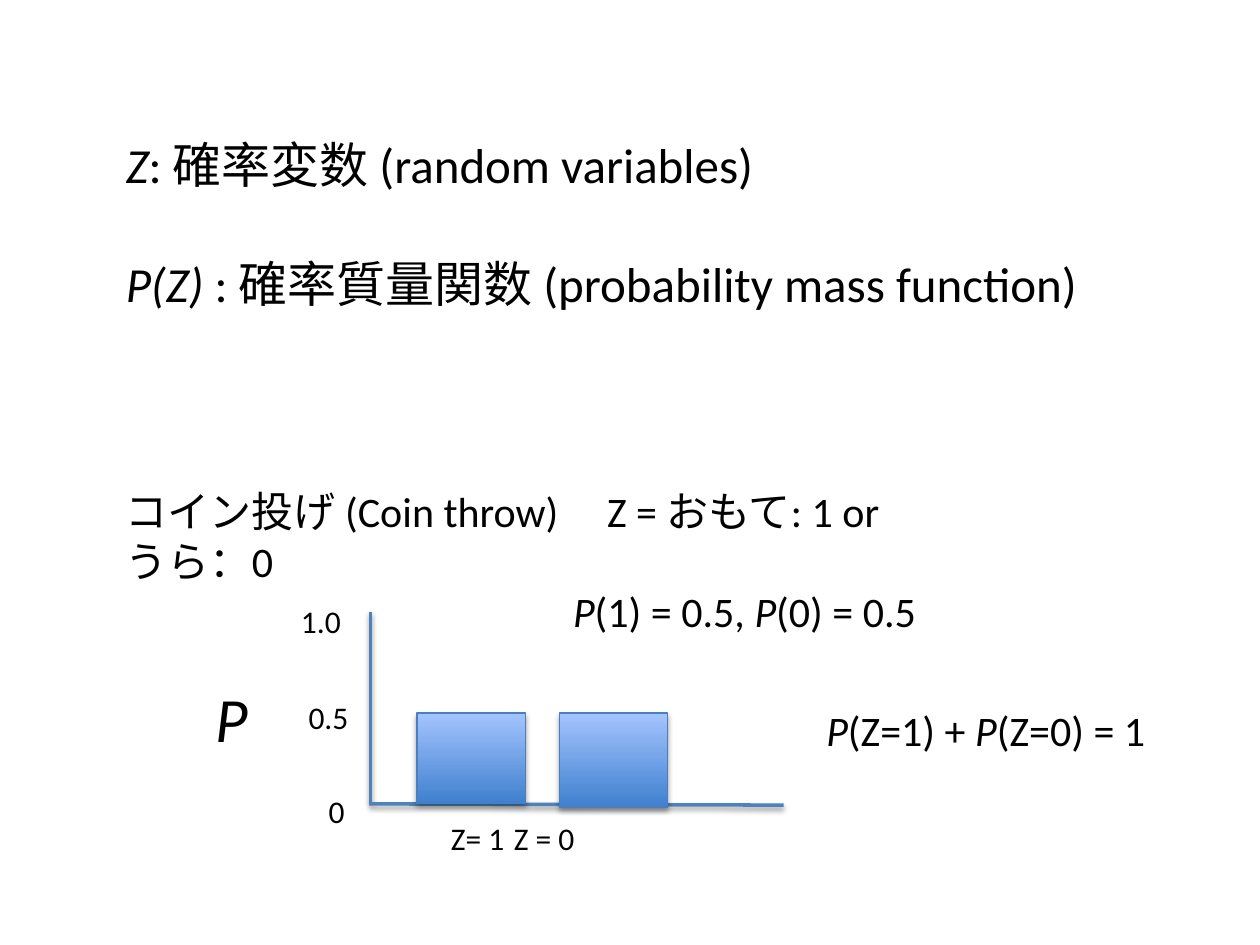
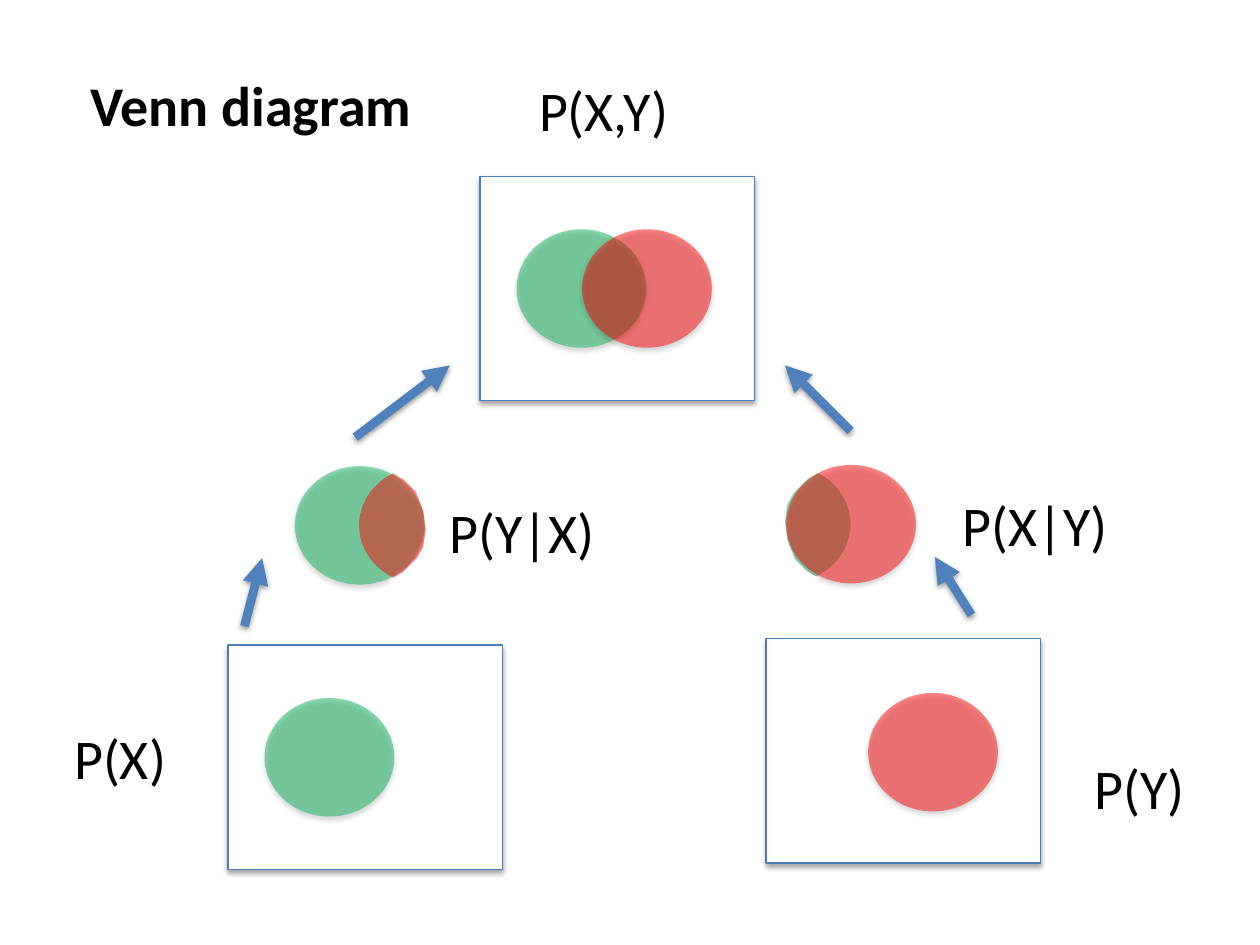
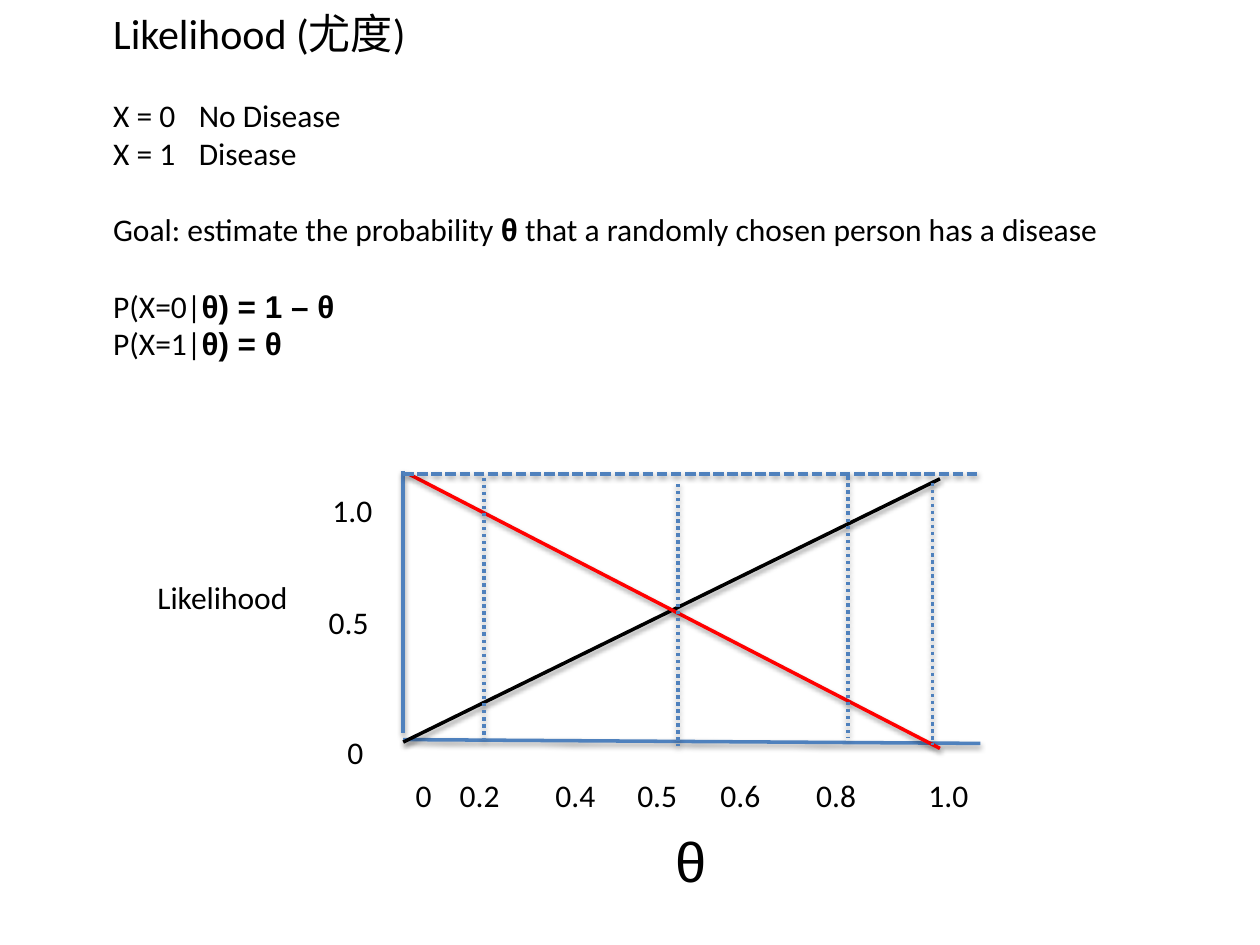
from dataclasses import dataclass

from lxml.etree import SubElement
from pptx import Presentation
from pptx.dml.color import RGBColor
from pptx.enum.dml import MSO_LINE
from pptx.enum.shapes import MSO_CONNECTOR, MSO_SHAPE
from pptx.oxml.ns import qn
from pptx.util import Inches, Pt

COLORS = {
    "text": "000000", "white": "FFFFFF", "axis": "4F81BD", "outline": "4B7EBC",
    "bar_bottom": "3F80CE", "bar_top": "A4C4FF",
    "x_event": "00B050", "y_event": "FF0000", "falling": "FF0000",
}
ALPHA = {"x_event": 46, "y_event": 47}
RUN_STYLES = {"italic": {"italic": True}, "theta": {"name": "Arial", "bold": True}}


@dataclass
class Line:
    """One paragraph: runs are plain strings or (text, run style) pairs."""
    runs: list
    size: int = 18
    before: int = 0
    indent: float = 0
    tabs: tuple = ()
    bold: bool = False
    font: str = "Calibri"


# Coin throw: left, top, width, height, lines
COIN_PARAGRAPHS = [
    (0.9, 1.02, 7.84, 1.99, [
        Line([("Z", "italic"), ": 確率変数 (random variables)"], 28),
        Line([("P(Z)", "italic"), " : 確率質量関数 (probability mass function)"], 28, before=34),
    ]),
    (0.9, 3.8, 6.94, 0.91, [
        Line(["コイン投げ (Coin throw)\tZ = おもて: 1 or", "\n", "うら：0"], 24, tabs=(3.82,)),
        Line([("P", "italic"), "(1) = 0.5, ", ("P", "italic"), "(0) = 0.5"], 24, indent=3.55),
    ]),
    (3.31, 6.45, 1.81, 0.4, [Line(["Z= 1\tZ = 0"], indent=0.17, tabs=(1.1,))]),
]
COIN_LABELS = [
    (2.35, 5.49, 0.52, 0.4, [Line(["0.5"])]),
    (2.29, 4.73, 0.52, 0.4, [Line(["1.0"])]),
    (2.51, 6.24, 0.33, 0.4, [Line(["0"])]),
    (1.61, 5.34, 0.46, 0.71, [Line([("P", "italic")], 36)]),
    (6.46, 5.54, 2.76, 0.5, [
        Line([("P", "italic"), "(Z=1) + ", ("P", "italic"), "(Z=0) = 1"], 24)]),
]
COIN_AXES = [((2.94, 4.86), (2.94, 6.37)), ((6.22, 6.39), (2.93, 6.38))]
COIN_BARS = [(3.31, 5.66, 0.86, 0.72), (4.44, 5.66, 0.86, 0.75)]

# Venn diagram
FRAME_SIZE = (2.18, 1.78)
CIRCLE_SIZE = (1.03, 0.94)
FRAMES = [  # left, top, circles inside as (event, left, top)
    (3.81, 1.4, [("x_event", 4.1, 1.82), ("y_event", 4.62, 1.82)]),
    (1.81, 5.12, [("x_event", 2.1, 5.54)]),
    (6.08, 5.07, [("y_event", 6.89, 5.5)]),
]
CONDITIONAL_CIRCLES = [  # event, left, top, has a shadow
    ("x_event", 2.34, 3.7, True), ("y_event", 2.85, 3.7, False),
    ("x_event", 5.72, 3.69, False), ("y_event", 6.24, 3.69, True),
]
RIGHT_CRESCENT = [
    (3.11, 3.75), (3.21, 3.81), (3.3, 3.9), (3.36, 4.05), (3.38, 4.2), (3.36, 4.34),
    (3.31, 4.43), (3.2, 4.54), (3.08, 4.61), (3.26, 4.66), (3.42, 4.67), (3.59, 4.62),
    (3.72, 4.56), (3.85, 4.43), (3.92, 4.24), (3.92, 4.06), (3.8, 3.86), (3.65, 3.75),
    (3.51, 3.7), (3.35, 3.68), (3.2, 3.71),
]
LEFT_CRESCENT = [(9.61 - x, 8.34 - y) for x, y in RIGHT_CRESCENT]
VENN_LABELS = [
    (left, top, width, 0.64, [Line([text], 32, bold=text == "Venn diagram")])
    for text, left, top, width in [
        ("P(X)", 0.49, 5.69, 0.97), ("P(Y|X)", 3.47, 3.9, 1.42),
        ("P(X|Y)", 7.54, 3.84, 1.42), ("P(Y)", 8.59, 5.93, 0.95),
        ("P(X,Y)", 4.18, 0.55, 1.24), ("Venn diagram", 0.62, 0.51, 2.77),
    ]
]
VENN_ARROWS = [
    ((1.94, 4.97), (2.08, 4.43)), ((2.82, 3.47), (3.57, 2.9)),
    ((7.71, 4.88), (7.42, 4.42)), ((6.75, 3.42), (6.23, 2.9)),
]

# Likelihood
LIKELIHOOD_PARAGRAPHS = [
    (0.8, 0.01, 8.1, 3.84, [
        Line(["Likelihood (尤度)"], 24),
        Line(["X = 0\tNo Disease"], before=22, tabs=(0.68,)),
        Line(["X = 1\tDisease"], tabs=(0.68,)),
        Line(["Goal: estimate the probability ", ("θ", "theta"),
              " that a randomly chosen person has a disease"], before=22),
        Line(["P(X=0|", ("θ) = 1 – θ", "theta")], before=22),
        Line(["P(X=1|", ("θ) = θ", "theta")]),
    ]),
    (3.2, 6.11, 4.73, 0.4, [
        Line(["0\t0.2\t0.4\t0.5\t0.6\t0.8\t1.0"], tabs=(0.35, 1.11, 1.76, 2.42, 3.18, 4.07))]),
]
LIKELIHOOD_LABELS = [
    (2.54, 3.85, 0.52, 0.4, [Line(["1.0"])]),
    (2.51, 4.74, 0.52, 0.4, [Line(["0.5"])]),
    (2.66, 5.77, 0.33, 0.4, [Line(["0"])]),
    (1.15, 4.54, 1.25, 0.4, [Line(["Likelihood"])]),
    (5.26, 6.51, 0.44, 0.64, [Line(["θ"], 32, font="Arial")]),
]
LIKELIHOOD_LINES = [  # start, end, colour, dash
    ((3.2, 3.74), (3.2, 5.82), "axis", None),
    ((3.2, 5.87), (7.78, 5.9), "axis", None),
    ((3.2, 5.89), (7.46, 3.8), "text", None),
    ((3.24, 3.76), (7.46, 5.94), "falling", None),
    ((3.2, 3.76), (7.78, 3.76), "axis", MSO_LINE.SQUARE_DOT),
]
GUIDE_TOPS = [(5.38, 3.84), (3.84, 3.79), (6.73, 3.78), (7.4, 3.83)]
GUIDE_LENGTH = 2.08


def color(name):
    return RGBColor.from_string(COLORS[name])


def add_shadow(effects, distance, opacity):
    """Put a soft downward shadow into an effect list."""
    shadow = SubElement(effects, qn("a:outerShdw"), blurRad=str(Pt(3.1)),
                        dist=str(Pt(distance)), dir="5400000", rotWithShape="0")
    black = SubElement(shadow, qn("a:srgbClr"), val=COLORS["text"])
    SubElement(black, qn("a:alpha"), val=str(opacity * 1000))


def add_preset(slide, kind, box, shadow=True):
    shape = slide.shapes.add_shape(kind, *map(Inches, box))
    shape.shadow.inherit = False
    if shadow:
        add_shadow(shape._element.spPr.find(qn("a:effectLst")), 1.8, 35)
    return shape


def set_outline(shape):
    shape.line.color.rgb = color("outline")
    shape.line.width = Pt(0.75)


def add_bar(slide, box):
    bar = add_preset(slide, MSO_SHAPE.RECTANGLE, box)
    bar.fill.gradient()
    bar.fill.gradient_angle = 90
    for stop, name in zip(bar.fill.gradient_stops, ("bar_bottom", "bar_top")):
        stop.color.rgb = color(name)
    set_outline(bar)


def add_frame(slide, left, top):
    frame = add_preset(slide, MSO_SHAPE.RECTANGLE, (left, top, *FRAME_SIZE))
    frame.fill.solid()
    frame.fill.fore_color.rgb = color("white")
    set_outline(frame)


def add_circle(slide, event, left, top, shadow=True):
    circle = add_preset(slide, MSO_SHAPE.OVAL, (left, top, *CIRCLE_SIZE), shadow)
    circle.fill.solid()
    circle.fill.fore_color.rgb = color(event)
    solid = circle._element.spPr.find(qn("a:solidFill"))
    SubElement(solid[0], qn("a:alpha"), val=str(ALPHA[event] * 1000))
    circle.line.fill.background()


def add_crescent(slide, points):
    start, *rest = [(Inches(x), Inches(y)) for x, y in points]
    builder = slide.shapes.build_freeform(*start, scale=1.0)
    builder.add_line_segments(rest, close=True)
    crescent = builder.convert_to_shape()
    crescent.shadow.inherit = False
    crescent.fill.solid()
    crescent.fill.fore_color.rgb = color("white")
    crescent.line.fill.background()


def add_line(slide, start, end, name="axis", width=2, dash=None, arrow=False):
    connector = slide.shapes.add_connector(
        MSO_CONNECTOR.STRAIGHT, *map(Inches, (*start, *end)))
    connector.line.color.rgb = color(name)
    connector.line.width = Pt(width)
    if dash:
        connector.line.dash_style = dash
    properties = connector._element.spPr
    if arrow:
        SubElement(properties.find(qn("a:ln")), qn("a:tailEnd"), type="triangle")
    add_shadow(SubElement(properties, qn("a:effectLst")), 1.6, 38)


def fill_paragraph(paragraph, line):
    properties = paragraph._p.get_or_add_pPr()
    if line.indent:
        properties.set("marL", str(Inches(line.indent)))
        properties.set("indent", "0")
    if line.tabs:
        tab_list = SubElement(properties, qn("a:tabLst"))
        for position in line.tabs:
            SubElement(tab_list, qn("a:tab"), pos=str(Inches(position)), algn="l")
    if line.before:
        paragraph.space_before = Pt(line.before)
    paragraph.font.size = Pt(line.size)
    paragraph.font.name = line.font
    paragraph.font.bold = line.bold
    paragraph.font.color.rgb = color("text")
    for item in line.runs:
        if item == "\n":
            paragraph.add_line_break()
            continue
        text, style = (item, None) if isinstance(item, str) else item
        run = paragraph.add_run()
        run.text = text
        for attribute, value in RUN_STYLES.get(style, {}).items():
            setattr(run.font, attribute, value)


def add_texts(slide, boxes, wrap=False):
    for *box, lines in boxes:
        frame = slide.shapes.add_textbox(*map(Inches, box)).text_frame
        frame.word_wrap = wrap
        for index, line in enumerate(lines):
            fill_paragraph(frame.add_paragraph() if index else frame.paragraphs[0], line)


def build_coin_slide(slide):
    add_texts(slide, COIN_PARAGRAPHS, wrap=True)
    for start, end in COIN_AXES:
        add_line(slide, start, end)
    for box in COIN_BARS:
        add_bar(slide, box)
    add_texts(slide, COIN_LABELS)


def build_venn_slide(slide):
    for left, top, circles in FRAMES:
        add_frame(slide, left, top)
        for circle in circles:
            add_circle(slide, *circle)
    for circle in CONDITIONAL_CIRCLES:
        add_circle(slide, *circle)
    for points in (RIGHT_CRESCENT, LEFT_CRESCENT):
        add_crescent(slide, points)
    add_texts(slide, VENN_LABELS)
    for start, end in VENN_ARROWS:
        add_line(slide, start, end, width=5, arrow=True)


def build_likelihood_slide(slide):
    add_texts(slide, LIKELIHOOD_PARAGRAPHS, wrap=True)
    for start, end, name, dash in LIKELIHOOD_LINES:
        add_line(slide, start, end, name, dash=dash)
    for x, top in GUIDE_TOPS:
        add_line(slide, (x, top), (x, top + GUIDE_LENGTH), dash=MSO_LINE.ROUND_DOT)
    add_texts(slide, LIKELIHOOD_LABELS)


def main():
    presentation = Presentation()
    presentation.slide_width = Inches(10)
    presentation.slide_height = Inches(7.5)
    for build in (build_coin_slide, build_venn_slide, build_likelihood_slide):
        build(presentation.slides.add_slide(presentation.slide_layouts[6]))
    presentation.save("out.pptx")


if __name__ == "__main__":
    main()
